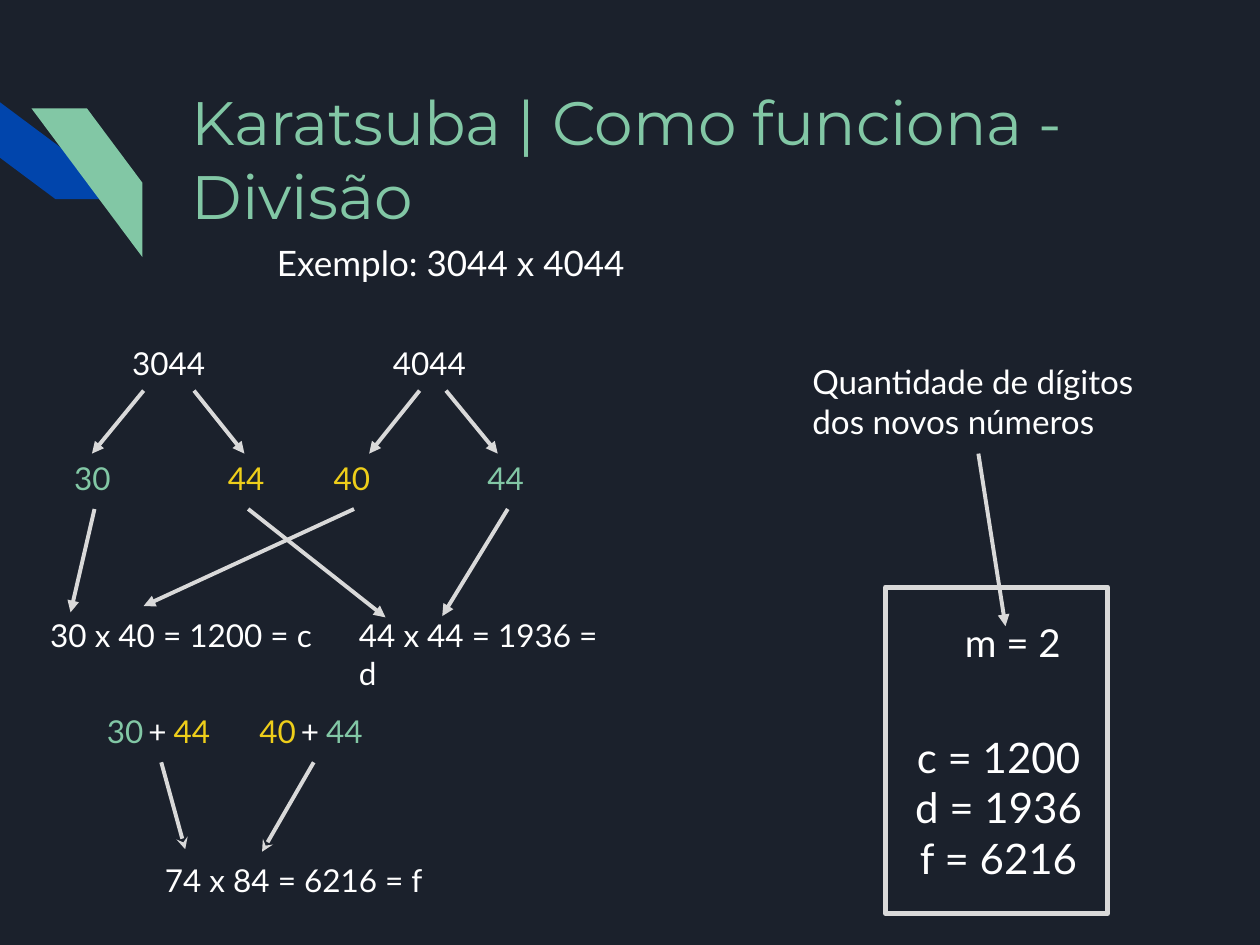
from lxml.etree import SubElement
from pptx import Presentation
from pptx.dml.color import RGBColor
from pptx.enum.shapes import MSO_CONNECTOR, MSO_SHAPE
from pptx.enum.text import MSO_ANCHOR, MSO_AUTO_SIZE, PP_ALIGN
from pptx.oxml.ns import qn
from pptx.util import Inches, Pt

BACKGROUND = "1B212C"
GREEN = "82C7A5"
BLUE = "0145AC"
YELLOW = "EECE1A"
WHITE = "FFFFFF"
GRAY = "D9D9D9"
BOTTOM = 2


def color(value):
    return RGBColor.from_string(value)


def fill_frame(shape, lines, size, font_color, font_name="Lato",
               align=PP_ALIGN.LEFT, anchor=MSO_ANCHOR.TOP):
    frame = shape.text_frame
    frame.word_wrap = True
    frame.auto_size = MSO_AUTO_SIZE.NONE
    frame.vertical_anchor = anchor
    frame.margin_left = frame.margin_right = Inches(0.1)
    frame.margin_top = frame.margin_bottom = Inches(0.1)
    for index, line in enumerate(lines):
        paragraph = frame.add_paragraph() if index else frame.paragraphs[0]
        paragraph.alignment = align
        paragraph.space_before = Pt(0)
        run = paragraph.add_run()
        run.text = line
        run.font.name = font_name
        run.font.size = Pt(size)
        run.font.color.rgb = color(font_color)


def add_text(slide, text, left, top, width, height, size=18, font_color=WHITE, **layout):
    box = slide.shapes.add_textbox(Inches(left), Inches(top), Inches(width), Inches(height))
    fill_frame(box, text.split("\n"), size, font_color, **layout)
    return box


def add_arrow(slide, start, end, source=None, head="triangle"):
    points = [Inches(value) for value in (*start, *end)]
    arrow = slide.shapes.add_connector(MSO_CONNECTOR.STRAIGHT, *points)
    if source is not None:
        arrow.begin_connect(source, BOTTOM)
    arrow.line.color.rgb = color(GRAY)
    arrow.line.width = Pt(2.25)
    SubElement(arrow.line._get_or_add_ln(), qn("a:tailEnd"), type=head)
    SubElement(arrow._element.spPr, qn("a:effectLst"))


def add_stripe(slide, left, top, fill_color, rotation=0, flipped=False):
    stripe = slide.shapes.add_shape(MSO_SHAPE.DIAGONAL_STRIPE, Inches(left), Inches(top),
                                    Inches(0.88), Inches(1.18))
    stripe.shadow.inherit = False
    stripe.fill.solid()
    stripe.fill.fore_color.rgb = color(fill_color)
    stripe.line.fill.background()
    stripe.rotation = rotation
    if flipped:
        stripe._element.spPr.xfrm.set("flipH", "1")


def add_title(slide, text):
    title = slide.shapes.title
    title.left, title.top = Inches(1.42), Inches(0.57)
    title.width, title.height = Inches(7.7), Inches(1.33)
    fill_frame(title, [text], 35, GREEN, font_name="Montserrat")


def add_split(slide, number, left, arrows):
    add_text(slide, number, left, 2.63, 0.94, 0.53)
    for start, end in arrows:
        add_arrow(slide, (start, 3.1), (end, 3.6))


def add_products(slide):
    halves = [
        ("30", 0.49, GREEN, (0.56, 4.86)),
        ("44", 1.71, YELLOW, (3.06, 4.9)),
        ("40", 2.55, YELLOW, (1.14, 4.81)),
        ("44", 3.77, GREEN, (3.51, 4.89)),
    ]
    for text, left, font_color, target in halves:
        half = add_text(slide, text, left, 3.54, 0.52, 0.5, font_color=font_color)
        add_arrow(slide, (left + 0.26, 4.04), target, half)
    add_text(slide, "30 x 40 = 1200 = c", 0.3, 4.79, 2.37, 0.42)
    add_text(slide, "44 x 44 = 1936 = d", 2.75, 4.79, 2.28, 0.49)


def add_sums(slide):
    sums = [
        (0.75, ("30", GREEN), ("44", YELLOW), (1.47, 6.74)),
        (1.96, ("40", YELLOW), ("44", GREEN), (2.08, 6.76)),
    ]
    for left, (first, first_color), (second, second_color), target in sums:
        add_text(slide, first, left, 5.55, 0.54, 0.5, font_color=first_color)
        add_text(slide, second, left + 0.53, 5.55, 0.54, 0.5, font_color=second_color)
        plus = add_text(slide, "+", left + 0.33, 5.55, 0.4, 0.5)
        add_arrow(slide, (left + 0.53, 6.05), target, plus, "stealth")
    add_text(slide, "74 x 84 = 6216 = f", 1.21, 6.73, 2.28, 0.53)


def add_summary(slide):
    add_text(slide, "c = 1200\nd = 1936\nf = 6216", 7.01, 5.33, 1.83, 2.15, 24,
             align=PP_ALIGN.CENTER, anchor=MSO_ANCHOR.MIDDLE)
    caption = add_text(slide, "Quantidade de dígitos dos novos números",
                       6.35, 2.77, 2.83, 0.83, 19)
    add_text(slide, "m = 2", 7.56, 4.81, 1.27, 0.57, 22)
    add_arrow(slide, (7.76, 3.6), (7.98, 4.97), caption)
    border = slide.shapes.add_shape(MSO_SHAPE.RECTANGLE, Inches(7.03), Inches(4.66),
                                    Inches(1.76), Inches(2.59))
    border.shadow.inherit = False
    border.fill.background()
    border.line.color.rgb = color(GRAY)
    border.line.width = Pt(3)


def main():
    presentation = Presentation()
    presentation.slide_width, presentation.slide_height = Inches(10), Inches(7.5)
    slide = presentation.slides.add_slide(presentation.slide_layouts[5])
    slide.background.fill.solid()
    slide.background.fill.fore_color.rgb = color(BACKGROUND)
    add_stripe(slide, 0, 0.55, BLUE, rotation=270)
    add_stripe(slide, 0.25, 0.86, GREEN, flipped=True)
    add_title(slide, "Karatsuba | Como funciona - Divisão")
    add_text(slide, "Exemplo: 3044 x 4044", 2.1, 1.82, 3.47, 0.54, 20)
    add_split(slide, "3044", 0.95, [(1.14, 0.73), (1.54, 1.94)])
    add_split(slide, "4044", 3.02, [(3.33, 2.93), (3.54, 3.95)])
    add_products(slide)
    add_sums(slide)
    add_summary(slide)
    presentation.save("out.pptx")


if __name__ == "__main__":
    main()
